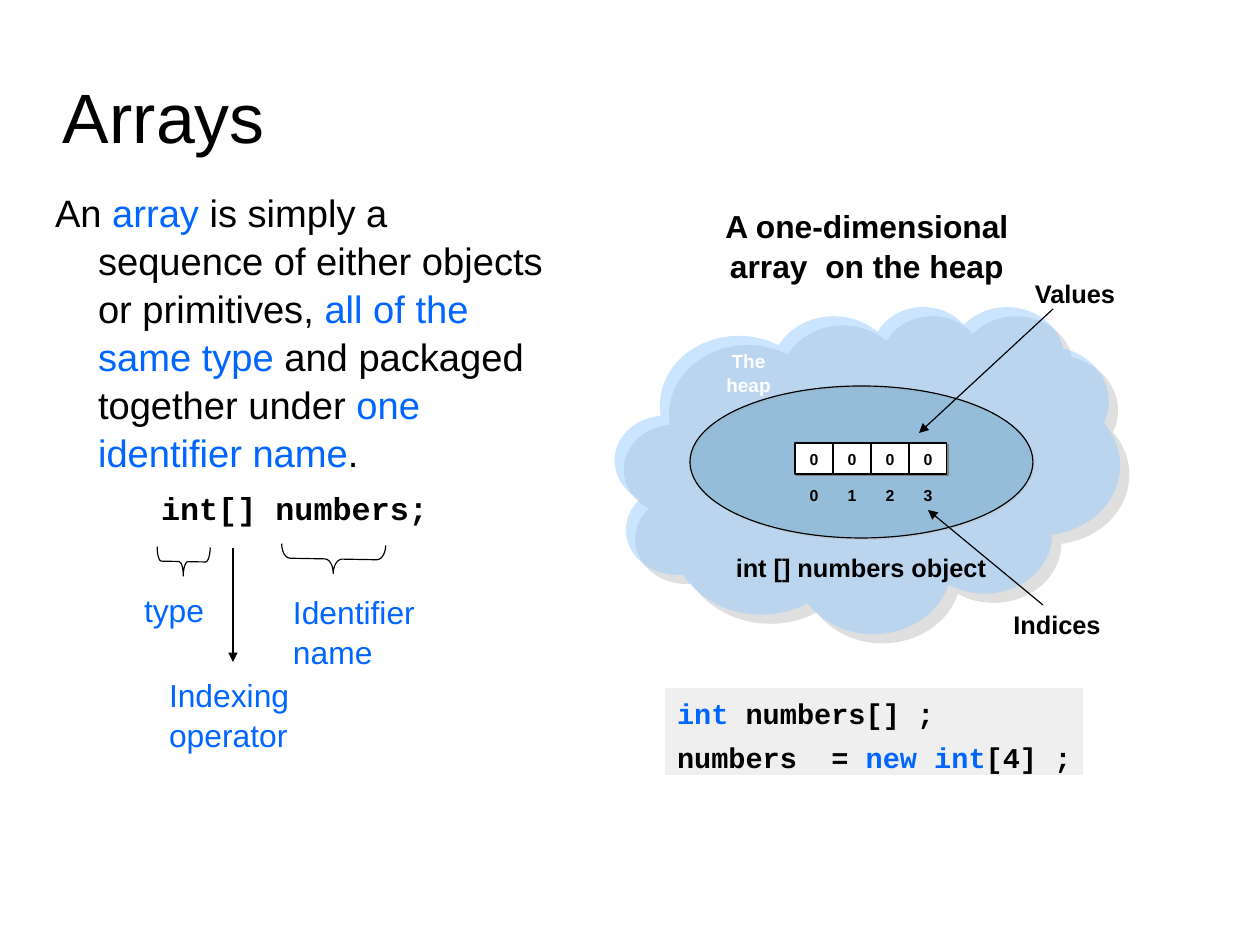
"""Build a slide that explains a one-dimensional array on the heap."""
from lxml.etree import SubElement
from pptx import Presentation
from pptx.dml.color import RGBColor
from pptx.enum.shapes import MSO_CONNECTOR, MSO_SHAPE
from pptx.enum.text import MSO_ANCHOR, MSO_AUTO_SIZE, PP_ALIGN
from pptx.oxml.ns import qn
from pptx.util import Pt

PX = 8000
BLACK = RGBColor(0x00, 0x00, 0x00)
WHITE = RGBColor(0xFF, 0xFF, 0xFF)
BLUE = RGBColor(0x00, 0x66, 0xFF)
SKY = RGBColor(0x99, 0xCC, 0xFF)
TEAL = RGBColor(0x00, 0x66, 0x99)
SILVER = RGBColor(0xC0, 0xC0, 0xC0)
GRAY = RGBColor(0x80, 0x80, 0x80)
LEFT, CENTER = PP_ALIGN.LEFT, PP_ALIGN.CENTER


def write(shape, lines, size, inset=0, bold=False, align=LEFT, name="Arial", hanging=0):
    """Fill a shape with lines, each a list of (text, colour) runs."""
    frame = shape.text_frame
    frame.word_wrap = True
    frame.auto_size = MSO_AUTO_SIZE.NONE
    frame.vertical_anchor = MSO_ANCHOR.TOP
    frame.margin_left = frame.margin_right = inset * PX
    frame.margin_top = frame.margin_bottom = 6 * PX
    for index, runs in enumerate(lines):
        paragraph = frame.add_paragraph() if index else frame.paragraphs[0]
        if hanging:
            properties = paragraph._p.get_or_add_pPr()
            properties.set("marL", str(hanging * PX))
            properties.set("indent", str(-hanging * PX))
            SubElement(properties, qn("a:buNone"))
        paragraph.alignment = align
        paragraph.line_spacing = 1.05
        paragraph.space_before = Pt(5 if index else 0)
        paragraph.font.name = name
        paragraph.font.size = Pt(size)
        paragraph.font.bold = bold
        for text, color in runs:
            run = paragraph.add_run()
            run.text = text
            run.font.color.rgb = color


def add_filled(kind, area, color, opacity=100, outlined=True, shadow=None):
    """Add a filled shape; shadow is (colour, opacity, distance)."""
    shape = slide.shapes.add_shape(kind, *[value * PX for value in area])
    shape.shadow.inherit = False
    shape.fill.solid()
    shape.fill.fore_color.rgb = color
    properties = shape._element.spPr
    fill_color = properties.find(qn("a:solidFill"))[0]
    SubElement(fill_color, qn("a:alpha"), val=str(opacity * 1000))
    if outlined:
        shape.line.color.rgb = BLACK
        shape.line.width = Pt(0.75)
    else:
        shape.line.fill.background()
    if shadow:
        shadow_color, shadow_opacity, distance = shadow
        outer = SubElement(properties.find(qn("a:effectLst")), qn("a:outerShdw"),
                           dist=str(distance * PX), dir="2700000", algn="tl", rotWithShape="0")
        tint = SubElement(outer, qn("a:srgbClr"), val=str(shadow_color))
        SubElement(tint, qn("a:alpha"), val=str(shadow_opacity * 1000))
    return shape


presentation = Presentation()
presentation.slide_width = 1260 * PX
presentation.slide_height = 945 * PX
slide = presentation.slides.add_slide(presentation.slide_layouts[1])

title, body = slide.placeholders
for placeholder, area in ((title, (63, 38, 1134, 158)), (body, (43, 181, 514, 600))):
    placeholder.left, placeholder.top, placeholder.width, placeholder.height = [
        value * PX for value in area]
write(title, [[("Arrays", BLACK)]], 44)
title.text_frame.vertical_anchor = MSO_ANCHOR.MIDDLE
title.text_frame.margin_bottom = 0
title.text_frame.paragraphs[0].line_spacing = 0.93
write(body, [[
    ("An ", BLACK), ("array", BLUE),
    (" is simply a sequence of either objects or primitives, ", BLACK),
    ("all of the same type", BLUE), (" and packaged together under ", BLACK),
    ("one identifier name", BLUE), (".", BLACK),
]], 24, inset=12, hanging=43)

add_filled(MSO_SHAPE.CLOUD, (615, 306, 505, 327), SKY, 50, False, (SILVER, 50, 13))
add_filled(MSO_SHAPE.OVAL, (690, 386, 343, 152), TEAL, 20, True, (SILVER, 50, 2))

labels = [
    ("The heap", (710, 342, 77, 57), 12, WHITE, True, CENTER, 0, "Arial"),
    ("int [] numbers object", (728, 545, 266, 42), 16, BLACK, True, CENTER, 0, "Arial"),
    ("Values", (1031, 271, 88, 42), 16, BLACK, True, CENTER, 0, "Arial"),
    ("Indices", (1010, 602, 94, 42), 16, BLACK, True, CENTER, 0, "Arial"),
    ("A one-dimensional array  on the heap", (710, 199, 314, 88), 20, BLACK, True,
     CENTER, 0, "Arial"),
    ("int[] numbers;", (149, 481, 303, 50), 20, BLACK, True, LEFT, 12, "Courier New"),
    ("Identifier name", (281, 585, 147, 88), 20, BLUE, False, LEFT, 12, "Arial"),
    ("type", (132, 583, 86, 50), 20, BLUE, False, LEFT, 12, "Arial"),
    ("Indexing operator", (157, 668, 147, 88), 20, BLUE, False, LEFT, 12, "Arial"),
]
for index, value in enumerate([0, 0, 0, 0]):
    left = 795 + 38 * index
    cell = add_filled(MSO_SHAPE.RECTANGLE, (left, 443, 38, 31), WHITE, shadow=(GRAY, 100, 2))
    write(cell, [[(str(value), BLACK)]], 10, bold=True, align=CENTER)
    labels.append((str(index), (left, 479, 38, 31), 10, BLACK, True, CENTER, 0, "Arial"))

for text, area, size, color, bold, align, inset, name in labels:
    label = slide.shapes.add_textbox(*[value * PX for value in area])
    write(label, [[(text, color)]], size, inset, bold, align, name)

code = add_filled(MSO_SHAPE.RECTANGLE, (665, 688, 418, 87), SILVER, 25, False)
write(code, [
    [("int ", BLUE), ("numbers[] ;", BLACK)],
    [("numbers  = ", BLACK), ("new int", BLUE), ("[4] ;", BLACK)],
], 18, inset=12, bold=True, name="Courier New", hanging=43)
code.text_frame.margin_right = 0

for left, top, width, height in ((319, 507, 29, 104), (169, 535, 29, 53)):
    brace = slide.shapes.add_shape(
        MSO_SHAPE.LEFT_BRACE, left * PX, top * PX, width * PX, height * PX)
    brace.shadow.inherit = False
    brace.rotation = 271
    brace.adjustments[0] = height / width / 12
    brace.fill.background()
    brace.line.color.rgb = BLACK
    brace.line.width = Pt(0.75)

for ends in ((1043, 605, 928, 510), (1053, 309, 919, 433), (233, 548, 233, 662)):
    arrow = slide.shapes.add_connector(
        MSO_CONNECTOR.STRAIGHT, *[value * PX for value in ends])
    arrow.line.color.rgb = BLACK
    arrow.line.width = Pt(0.75)
    SubElement(arrow.line._get_or_add_ln(), qn("a:tailEnd"), type="triangle")
    SubElement(arrow._element.spPr, qn("a:effectLst"))

presentation.save("out.pptx")
